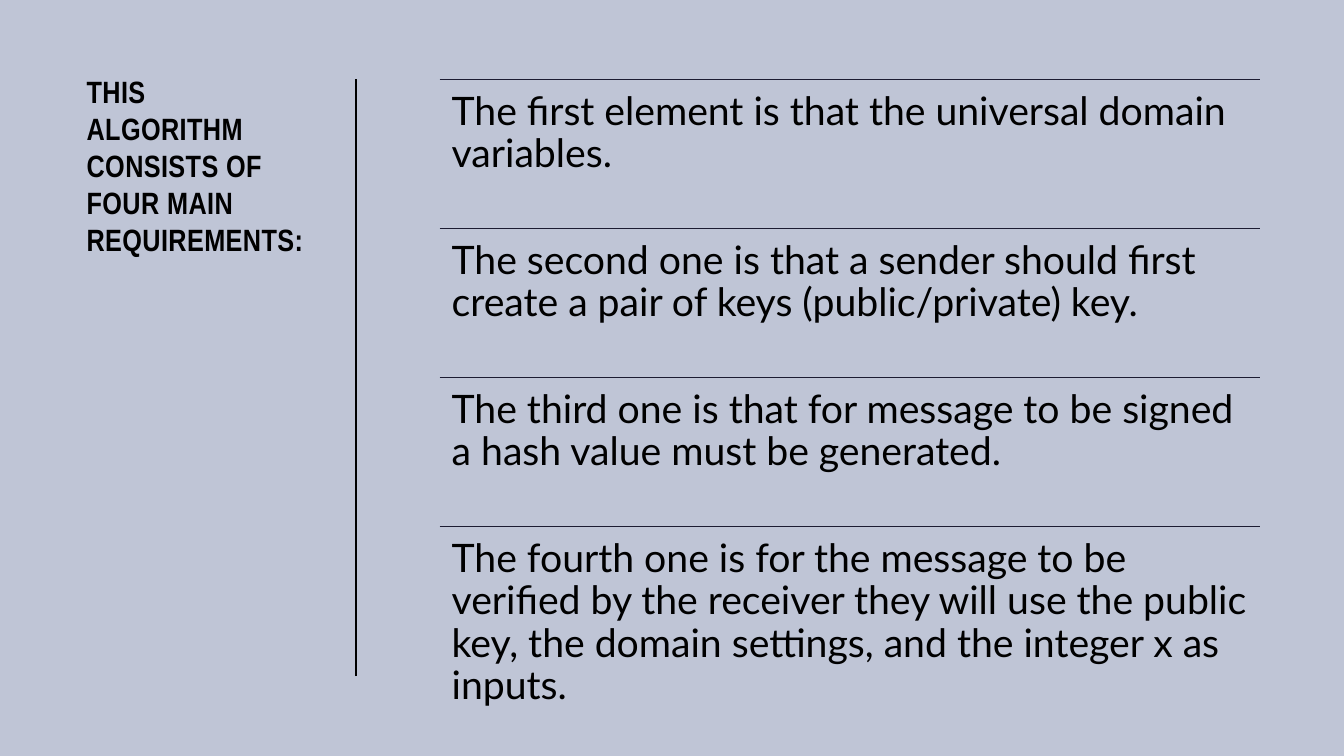
from lxml.etree import SubElement
from pptx import Presentation
from pptx.dml.color import RGBColor
from pptx.enum.shapes import MSO_CONNECTOR
from pptx.enum.text import MSO_ANCHOR, MSO_AUTO_SIZE, PP_ALIGN
from pptx.oxml.ns import qn
from pptx.util import Pt

BACKGROUND = RGBColor(0xBF, 0xC5, 0xD6)
BLACK = RGBColor(0x00, 0x00, 0x00)
RULE_COLOR = RGBColor(0x1C, 0x1C, 0x32)

HEADING = "THIS ALGORITHM CONSISTS OF FOUR MAIN REQUIREMENTS:"
REQUIREMENTS = [
    "The first element is that the universal domain variables.",
    "The second one is that a sender should first create a pair of keys "
    "(public/private) key.",
    "The third one is that for message to be signed a hash value must be "
    "generated.",
    "The fourth one is for the message to be verified by the receiver they "
    "will use the public key, the domain settings, and the integer x as inputs.",
]

LIST_LEFT, LIST_TOP = 314, 56.8
LIST_WIDTH, ROW_HEIGHT = 586, 106.4
DIVIDER_X, DIVIDER_BOTTOM = 254.2, 483
ROW_INSET = 8.64


def add_run(paragraph, text, font_name, size, bold=False):
    run = paragraph.add_run()
    run.text = text
    run.font.name = font_name
    run.font.size = Pt(size)
    run.font.bold = bold
    run.font.color.rgb = BLACK
    return run


def set_heading(title):
    title.left, title.top = Pt(54.7), Pt(48.2)
    title.width, title.height = Pt(171.2), Pt(353.5)
    frame = title.text_frame
    frame.word_wrap = True
    frame.auto_size = MSO_AUTO_SIZE.NONE
    frame.vertical_anchor = MSO_ANCHOR.TOP
    paragraph = frame.paragraphs[0]
    paragraph.alignment = PP_ALIGN.LEFT
    heading = add_run(paragraph, HEADING, "Arial Narrow", 22, bold=True)
    heading.font._element.set("spc", "30")


def add_rule(shapes, start, end, color):
    rule = shapes.add_connector(
        MSO_CONNECTOR.STRAIGHT, *(Pt(value) for value in (*start, *end))
    )
    rule.line.color.rgb = color
    rule.line.width = Pt(1)
    SubElement(rule._element.spPr, qn("a:effectLst"))


def add_requirement(shapes, text, top):
    """Add one row: a rule with the requirement below it."""
    add_rule(shapes, (LIST_LEFT, top), (LIST_LEFT + LIST_WIDTH, top), RULE_COLOR)
    row = shapes.add_textbox(
        Pt(LIST_LEFT), Pt(top), Pt(LIST_WIDTH), Pt(ROW_HEIGHT)
    )
    frame = row.text_frame
    frame.word_wrap = True
    frame.vertical_anchor = MSO_ANCHOR.TOP
    frame.margin_left = frame.margin_right = Pt(ROW_INSET)
    frame.margin_top = frame.margin_bottom = Pt(ROW_INSET)
    paragraph = frame.paragraphs[0]
    paragraph.line_spacing = 0.9
    add_run(paragraph, text, "Lato", 28)


def main():
    presentation = Presentation()
    presentation.slide_width, presentation.slide_height = Pt(960), Pt(540)
    slide = presentation.slides.add_slide(presentation.slide_layouts[5])
    slide.background.fill.solid()
    slide.background.fill.fore_color.rgb = BACKGROUND

    set_heading(slide.shapes.title)
    add_rule(
        slide.shapes, (DIVIDER_X, DIVIDER_BOTTOM), (DIVIDER_X, LIST_TOP), BLACK
    )
    requirement_list = slide.shapes.add_group_shape()
    for index, text in enumerate(REQUIREMENTS):
        add_requirement(
            requirement_list.shapes, text, LIST_TOP + index * ROW_HEIGHT
        )
    presentation.save("out.pptx")


if __name__ == "__main__":
    main()
